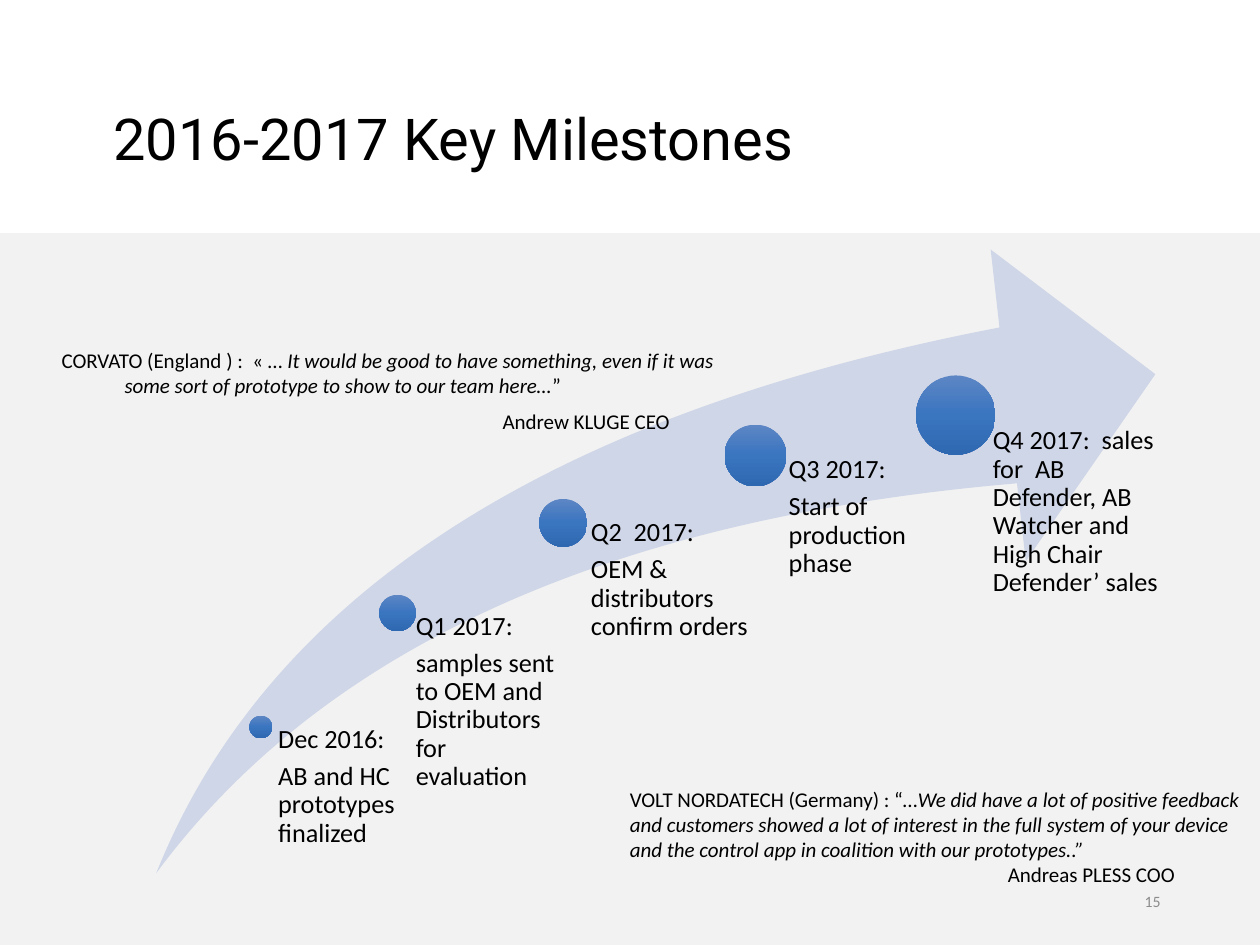
from copy import deepcopy
from dataclasses import dataclass

from pptx import Presentation
from pptx.dml.color import RGBColor
from pptx.enum.shapes import MSO_SHAPE
from pptx.enum.text import MSO_ANCHOR, PP_ALIGN
from pptx.oxml.ns import qn
from pptx.util import Inches, Pt


@dataclass(frozen=True)
class Theme:
    panel: str = "F2F2F2"
    arrow: str = "CFD6E7"
    ink: str = "000000"
    muted: str = "8C8C8C"
    dot: tuple = ((0, "5D86C4"), (0.5, "3A75C0"), (1, "2E68B0"))
    heading_font: str = "Roboto"
    body_font: str = "Calibri"
    title_size: float = 33
    milestone_size: float = 15
    quote_size: float = 12
    number_size: float = 9


@dataclass(frozen=True)
class Milestone:
    left: float
    top: float
    diameter: float
    label: tuple
    label_inset: float
    lines: tuple


@dataclass(frozen=True)
class Quote:
    place: tuple
    spans: tuple
    author: str
    hanging: float
    author_indent: float
    author_gap: float


THEME = Theme()

MILESTONES = (
    Milestone(1.98, 5.68, 0.18, (2.11, 5.76, 1.04, 1.18), 0.1,
              ("Dec 2016:", "AB and HC prototypes finalized")),
    Milestone(3.01, 4.72, 0.29, (3.15, 4.86, 1.32, 2.08), 0.15,
              ("Q1 2017:", "samples sent to OEM and Distributors for evaluation")),
    Milestone(4.28, 3.96, 0.38, (4.49, 4.12, 1.49, 2.85), 0.2,
              ("Q2  2017:", "OEM & distributors confirm orders")),
    Milestone(5.75, 3.37, 0.49, (6, 3.62, 1.59, 3.32), 0.26,
              ("Q3 2017:", "Start of production phase")),
    Milestone(7.27, 2.98, 0.63, (7.55, 3.39, 1.7, 3.39), 0.33,
              ("Q4 2017:  sales  for  AB Defender, AB Watcher and "
               "High Chair Defender’ sales",)),
)

QUOTES = (
    Quote((0.39, 2.71, 5.5, 0.81),
          (("CORVATO (England ) :  « … ", False),
           ("It would be good to have something, even if it was "
            "some sort of prototype to show to our team here…", True),
           ("”", False)),
          "Andrew KLUGE CEO", 0.5, 3.5, 6),
    Quote((4.9, 6.19, 5.1, 0.91),
          (("VOLT NORDATECH (Germany) : “…", False),
           ("We did have a lot of positive feedback and customers showed a lot "
            "of interest in the full system of your device and the control app "
            "in coalition with our prototypes..”", True)),
          "Andreas PLESS COO", 0, 3, 0),
)


def add_plain_shape(page, preset, place: tuple):
    shape = page.shapes.add_shape(preset, *map(Inches, place))
    shape.shadow.inherit = False
    shape.line.fill.background()
    return shape


def fill_solid(shape, color: str) -> None:
    shape.fill.solid()
    shape.fill.fore_color.rgb = RGBColor.from_string(color)


def fill_dot(shape) -> None:
    shape.fill.gradient()
    shape.fill.gradient_angle = 270
    stop_list = shape._element.spPr.find(qn("a:gradFill")).find(qn("a:gsLst"))
    stop_list.append(deepcopy(stop_list[-1]))
    for stop, (position, color) in zip(shape.fill.gradient_stops, THEME.dot):
        stop.position = position
        stop.color.rgb = RGBColor.from_string(color)


def add_box(page, place: tuple, insets: tuple, anchor=MSO_ANCHOR.TOP):
    frame = page.shapes.add_textbox(*map(Inches, place)).text_frame
    frame.word_wrap = True
    frame.vertical_anchor = anchor
    (frame.margin_left, frame.margin_top,
     frame.margin_right, frame.margin_bottom) = map(Inches, insets)
    return frame


def style(span, size: float, font: str = THEME.body_font,
          color: str = THEME.ink, italic: bool = False) -> None:
    span.font.size = Pt(size)
    span.font.name = font
    span.font.italic = italic
    span.font.color.rgb = RGBColor.from_string(color)


def add_milestone(page, milestone: Milestone) -> None:
    diameter = milestone.diameter
    fill_dot(add_plain_shape(page, MSO_SHAPE.OVAL,
                             (milestone.left, milestone.top, diameter, diameter)))
    frame = add_box(page, milestone.label, (milestone.label_inset, 0, 0, 0))
    frame.text = "\n".join(milestone.lines)
    for para in frame.paragraphs:
        para.line_spacing = 0.9
        para.space_after = Pt(5)
        style(para.runs[0], THEME.milestone_size)


def add_quote(page, quote: Quote) -> None:
    frame = add_box(page, quote.place, (0.1, 0.05, 0, 0.05))
    words = frame.paragraphs[0]
    properties = words._p.get_or_add_pPr()
    properties.set("marL", str(Inches(quote.hanging)))
    properties.set("indent", str(-Inches(quote.hanging)))
    for text, italic in quote.spans:
        span = words.add_run()
        span.text = text
        style(span, THEME.quote_size, italic=italic)
    author = frame.add_paragraph()
    author.text = quote.author
    author.space_before = Pt(quote.author_gap)
    author._p.get_or_add_pPr().set("marL", str(Inches(quote.author_indent)))
    style(author.runs[0], THEME.quote_size)


def main() -> None:
    deck = Presentation()
    deck.slide_width, deck.slide_height = Inches(10), Inches(7.5)
    page = deck.slides.add_slide(deck.slide_layouts[6])

    fill_solid(add_plain_shape(page, MSO_SHAPE.RECTANGLE, (0, 1.85, 10, 5.65)),
               THEME.panel)

    title = add_box(page, (0.69, 0.4, 7.59, 1.45), (0.21, 0.05, 0.1, 0.05),
                    MSO_ANCHOR.MIDDLE)
    title.text = "2016-2017 Key Milestones"
    title.paragraphs[0].line_spacing = 0.9
    style(title.paragraphs[0].runs[0], THEME.title_size, THEME.heading_font)

    arrow = add_plain_shape(page, MSO_SHAPE.SWOOSH_ARROW, (1.24, 1.98, 7.93, 4.95))
    arrow.adjustments[0] = arrow.adjustments[1] = 0.25
    fill_solid(arrow, THEME.arrow)

    for milestone in MILESTONES:
        add_milestone(page, milestone)

    number = add_box(page, (7.06, 6.95, 2.25, 0.4), (0.1, 0.05, 0.1, 0.05),
                     MSO_ANCHOR.MIDDLE)
    number.text = "15"
    number.paragraphs[0].alignment = PP_ALIGN.RIGHT
    style(number.paragraphs[0].runs[0], THEME.number_size, color=THEME.muted)

    for quote in QUOTES:
        add_quote(page, quote)

    deck.save("out.pptx")


if __name__ == "__main__":
    main()
